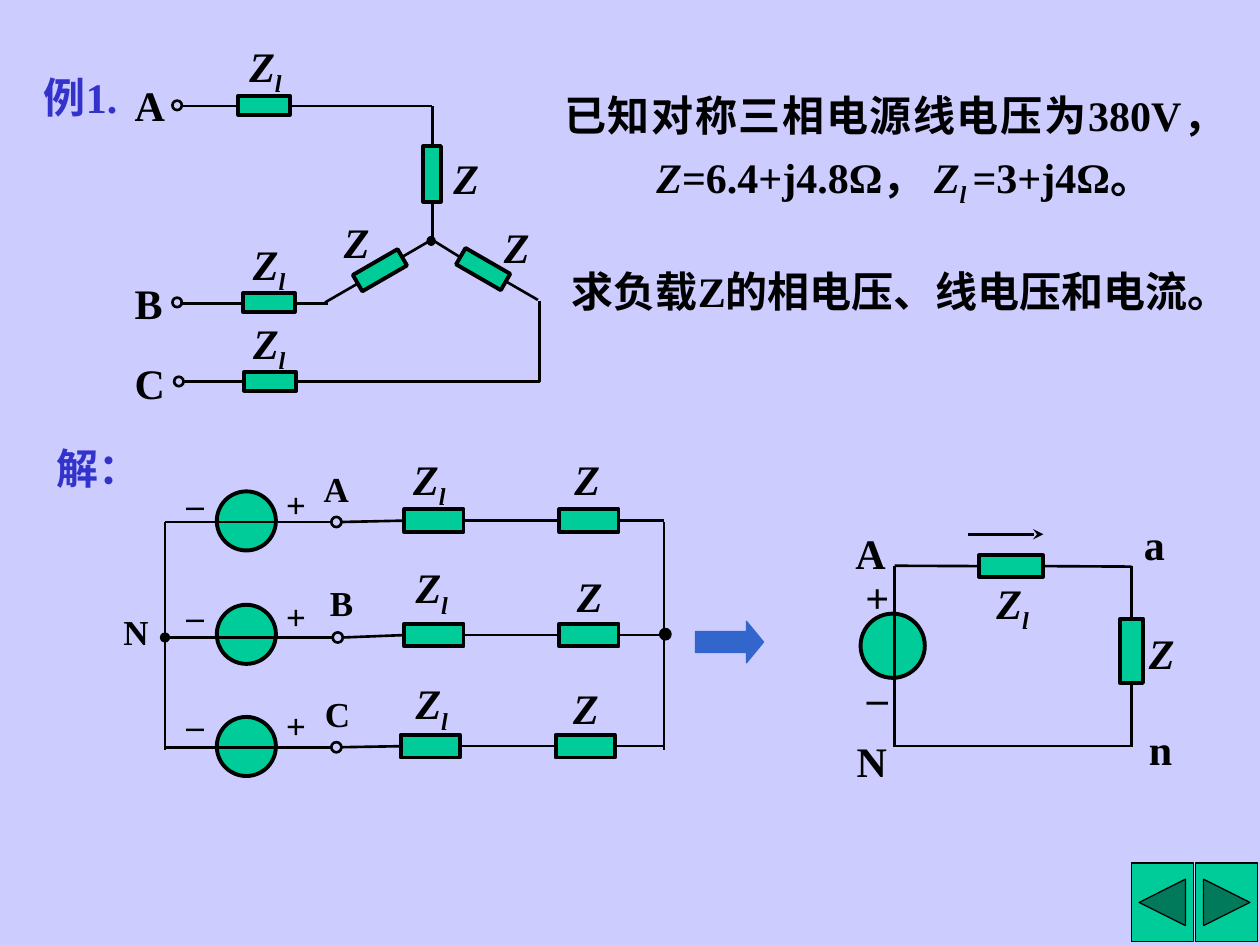
from lxml import etree
from pptx import Presentation
from pptx.dml.color import RGBColor
from pptx.enum.lang import MSO_LANGUAGE_ID as LANG
from pptx.enum.shapes import MSO_CONNECTOR, MSO_SHAPE as SHAPE
from pptx.enum.text import MSO_AUTO_SIZE, PP_ALIGN
from pptx.oxml.ns import qn
from pptx.util import Pt

rgb = RGBColor.from_string
BLACK, GREEN, BLUE, INDIGO = "000000", "00CC99", "3366CC", "3333CC"
TOP, LEFT, BOTTOM, RIGHT = range(4)

prs = Presentation()
prs.slide_width, prs.slide_height = Pt(720), Pt(540)
slide = prs.slides.add_slide(prs.slide_layouts[6])
slide.background.fill.solid()
slide.background.fill.fore_color.rgb = rgb("CCCCFF")
shapes = slide.shapes


def part(kind, cx, cy, width, height, fill=GREEN, weight=2.25, line=BLACK, turn=0):
    """Add a preset shape around its centre."""
    shape = shapes.add_shape(kind, Pt(cx - width / 2), Pt(cy - height / 2),
                             Pt(width), Pt(height))
    shape.shadow.inherit = False
    shape.rotation = turn
    if fill:
        shape.fill.solid()
        shape.fill.fore_color.rgb = rgb(fill)
    else:
        shape.fill.background()
    shape.line.color.rgb = rgb(line)
    shape.line.width = Pt(weight)
    return shape


def wire(x1, y1, x2, y2, begin=None, end=None):
    """Add a wire; begin and end are (shape, side) joints."""
    line = shapes.add_connector(MSO_CONNECTOR.STRAIGHT, Pt(x1), Pt(y1), Pt(x2), Pt(y2))
    if begin:
        line.begin_connect(*begin)
    if end:
        line.end_connect(*end)
    line.line.color.rgb = rgb(BLACK)
    line.line.width = Pt(1.5)
    etree.SubElement(line._element.spPr, qn("a:effectLst"))
    return line


# Given circuit: three lines feeding a star load
wire(104.4, 60.5, 247, 60.5)
wire(103, 173.5, 187.2, 173.5)
pen = shapes.build_freeform(Pt(308.2), Pt(172.1), scale=1.0)
pen.add_line_segments([(Pt(308.2), Pt(218.2)), (Pt(105.1), Pt(218.2))], close=False)
line_c = pen.convert_to_shape()
line_c.shadow.inherit = False
line_c.fill.background()
line_c.line.color.rgb = rgb(BLACK)
line_c.line.width = Pt(1.5)

for terminal_x, line_x, y in ((101.2, 150.9, 60.2), (101.2, 153.7, 172.8), (102.2, 154.4, 218)):
    part(SHAPE.OVAL, terminal_x, y, 5.4, 5.4, None, 1.5)
    part(SHAPE.RECTANGLE, line_x, y, 29.5, 10.8)

load_a = part(SHAPE.RECTANGLE, 247, 99.4, 10.1, 31.7)
wire(247, 60.5, 247, 83.5, end=(load_a, TOP))
wire(247, 115.9, 247, 136.8, begin=(load_a, BOTTOM))
for cx, cy, turn in ((276.1, 153.8, 120), (217.1, 154.4, 240)):
    part(SHAPE.RECTANGLE, cx, cy, 10.8, 29.5, turn=turn)
for ends in ((307.4, 171.4, 288.7, 160.6), (262.8, 146.9, 246.6, 136.8),
             (185.8, 172.8, 204.5, 162), (229.7, 146.9, 247, 136.8)):
    wire(*ends)
part(SHAPE.OVAL, 246.4, 137.7, 4.6, 5, BLACK, 0.75)

# Full star-star circuit, one row per phase
bus_left, bus_right = 94.3, 379.4
for source_y, wire_y, box_y, terminal_x, line_x, load_x in (
        (297.7, 298.3, 297.5, 192.2, 248, 336.6),
        (362.5, 364.3, 362.9, 193, 248, 336.6),
        (426.6, 427, 426.4, 192.2, 245.9, 334.4)):
    part(SHAPE.OVAL, 140.8, source_y, 33.8, 33.8)
    wire(terminal_x - 2.9, wire_y, bus_left, wire_y)
    part(SHAPE.OVAL, terminal_x, wire_y, 5.8, 5.8, None, 1.5)
    line_z = part(SHAPE.RECTANGLE, line_x, box_y, 33.8, 13)
    load_z = part(SHAPE.RECTANGLE, load_x, box_y, 33.8, 13)
    wire(terminal_x + 2.9, wire_y, line_x, box_y, end=(line_z, LEFT))
    wire(line_x, box_y, load_x, box_y, (line_z, RIGHT), (load_z, LEFT))
    wire(load_x, box_y, bus_right, box_y, begin=(load_z, RIGHT))
for bus_x in (bus_left, bus_right):
    wire(bus_x, 298.3, bus_x, 428.4)
part(SHAPE.OVAL, bus_left, 364.3, 4.3, 4.3, BLACK, 1.5)
part(SHAPE.OVAL, 380.2, 362.4, 5.8, 5.8, BLACK, 1.5)

# Step to the single-phase circuit
step = part(SHAPE.RIGHT_ARROW, 416.9, 366.9, 38.9, 23.8, BLUE, 0.75, BLUE)
step.adjustments[0], step.adjustments[1] = 0.5, 0.41

# Single-phase circuit
part(SHAPE.OVAL, 510.1, 369, 36.7, 36.7)
phase_load = part(SHAPE.RECTANGLE, 646.6, 371.9, 13, 36.7)
phase_line = part(SHAPE.RECTANGLE, 577.8, 323.5, 36.7, 12.2)
wire(511.2, 323.3, 511.2, 425.9)
wire(511.2, 323.3, 559.4, 323.5, end=(phase_line, LEFT))
wire(596.2, 323.5, 646.6, 323.8, begin=(phase_line, RIGHT))
wire(646.6, 323.3, 646.6, 353.5, end=(phase_load, TOP))
wire(646.6, 390.2, 646.6, 427, begin=(phase_load, BOTTOM))
wire(510.5, 426.2, 646.6, 426.2)
current = wire(553, 305.3, 596.2, 305.3)
etree.SubElement(current.line._get_or_add_ln(), qn("a:tailEnd"), type="stealth")

# Page buttons
for button, cx in ((SHAPE.ACTION_BUTTON_BACK_OR_PREVIOUS, 664.2),
                   (SHAPE.ACTION_BUTTON_FORWARD_OR_NEXT, 701)):
    part(button, cx, 515.7, 35.4, 45, weight=0.75)

# Texts: runs are (text, style), where i is italic and s is italic subscript
Z = [("Z", "i")]
ZL = Z + [("l", "s")]
given = ([("已知对称三相电源线电压为380V，", "")] + Z + [("=6.4+j4.8Ω， ", "")]
         + Z + [("l ", "s"), ("=3+j4Ω。", "")])
heading = {"color": INDIGO}
small = {"size": 20}
plus = {"size": 20, "turn": 90}
hanging = {"hang": 52.6, "spacing": 1.2, "align": PP_ALIGN.JUSTIFY, "height": 76.3}
texts = [
    ("例1.", 18, 37.4, 68.4, heading),
    ("解：", 25.2, 249.1, 68.4, heading),
    (given, 315.4, 41.8, 391.7, hanging),
    ("求负载Z的相电压、线电压和电流。", 319.7, 148.3, 400.3, {}),
    # Given circuit
    ("A", 69.8, 41.8, 29.5, {}), ("B", 69.8, 154.8, 29.5, {}), ("C", 69.8, 200.9, 29.5, {}),
    (Z, 252, 83.5, 29.5, {}), (Z, 280.8, 123.1, 29.5, {}), (Z, 189.4, 120.2, 29.5, {}),
    (ZL, 135.4, 19.4, 45, {}), (ZL, 137.5, 132.5, 45, {}), (ZL, 137.5, 177.8, 49, {}),
    # Star-star circuit
    ("A", 177.8, 263.5, 37.4, small), ("B", 181.4, 329, 37.4, small),
    ("C", 178.6, 392.4, 37.4, small), ("N", 63.4, 345.6, 37.4, small),
    (ZL, 229, 255.6, 49, {}), (ZL, 230.4, 317.5, 49, {}), (ZL, 230.4, 383.8, 49, {}),
    (Z, 321.1, 255.6, 49, {}), (Z, 322.6, 322.6, 49, {}), (Z, 320.4, 386.6, 49, {}),
    # Single-phase circuit
    ("+", 487.4, 323.3, 31.7, {}), ("–", 488.2, 380.2, 32.4, {}),
    ("A", 481.7, 298.1, 31.7, {}), ("N", 482.4, 416.9, 31.7, {}),
    ("n", 649.4, 409.7, 31.7, {}), ("a", 646.6, 293, 31.7, {}),
    (Z, 649.4, 355, 50.4, {}), (ZL, 562.3, 326.2, 50.4, {}),
]
for sign_top in (272.2, 335.9, 398.5):
    texts += [("–", 99.4, sign_top, 21.6, small), ("+", 159.8, sign_top, 21.6, plus)]

for content, left, top, width, look in texts:
    size = look.get("size", 24)
    box = shapes.add_textbox(Pt(left), Pt(top), Pt(width),
                             Pt(look.get("height", 31 if size == 20 else 36)))
    box.rotation = look.get("turn", 0)
    frame = box.text_frame
    frame.word_wrap = True
    frame.auto_size = MSO_AUTO_SIZE.SHAPE_TO_FIT_TEXT
    paragraph = frame.paragraphs[0]
    paragraph.alignment = look.get("align", PP_ALIGN.LEFT)
    paragraph.line_spacing = look.get("spacing", 1.0)
    if "hang" in look:
        properties = paragraph._p.get_or_add_pPr()
        properties.set("marL", str(Pt(look["hang"])))
        properties.set("indent", str(-Pt(look["hang"])))
    for words, style in [(content, "")] if isinstance(content, str) else content:
        run = paragraph.add_run()
        run.text = words
        face = {"name": "Times New Roman", "size": Pt(size), "bold": True,
                "italic": style in ("i", "s"), "language_id": LANG.SIMPLIFIED_CHINESE}
        for attribute, value in face.items():
            setattr(run.font, attribute, value)
        run.font.color.rgb = rgb(look.get("color", BLACK))
        if style == "s":
            run._r.get_or_add_rPr().set("baseline", "-25000")

prs.save("out.pptx")
